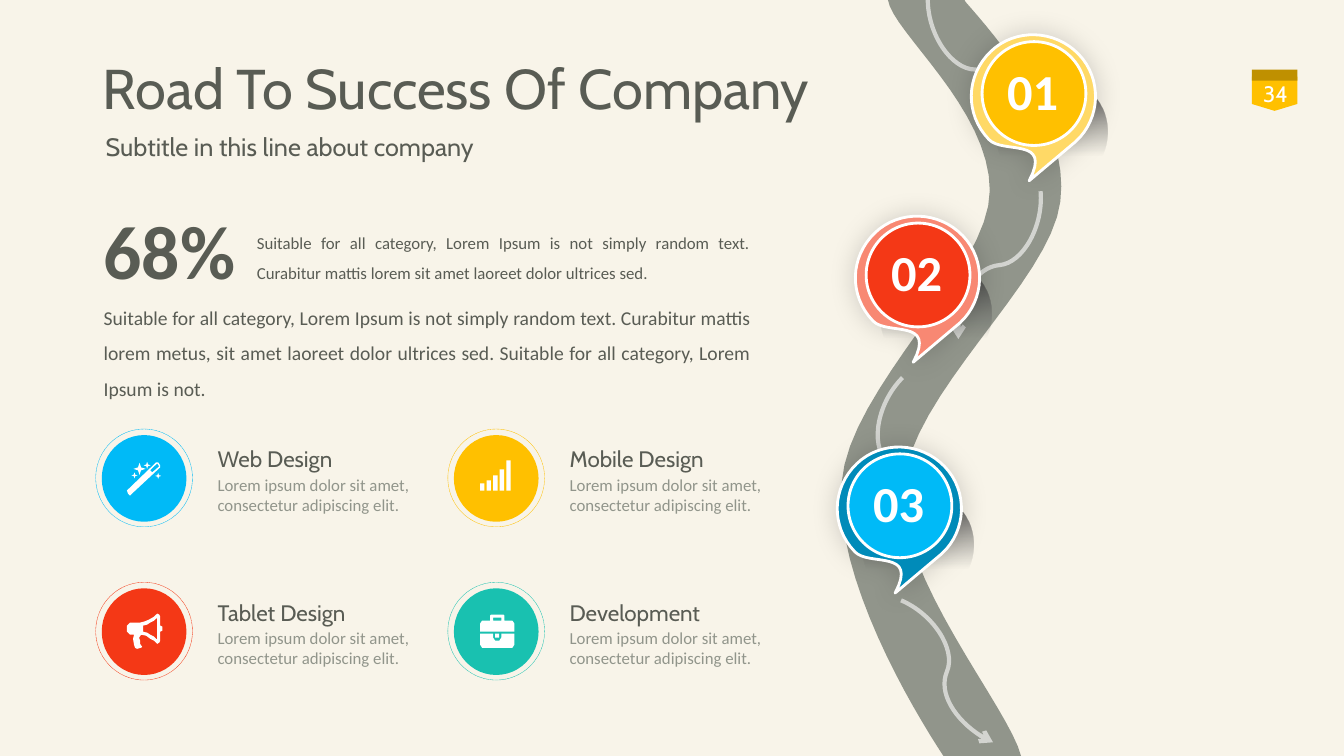
import math
from dataclasses import dataclass

import lxml.etree
import pptx
import pptx.dml.color
import pptx.enum.dml
import pptx.enum.shapes
import pptx.enum.text
import pptx.oxml.ns
import pptx.util

CELL = pptx.util.Inches(1) / 3
COLUMNS, ROWS = 40, 22.5
ICON_UNIT = 0.03
C = {
    "bg": "F8F4E9", "text": "595C54", "grey": "91958B", "white": "FFFFFF",
    "yellow": "FFC000", "gold": "BF9000", "sand": "FFD966",
    "red": "F43816", "coral": "F88873", "blue": "00BAF7", "navy": "008BB9",
    "teal": "19C1B0", "dark": "353535", "shade": "595959", "black": "000000",
}
SHAPE = pptx.enum.shapes.MSO_SHAPE
ALIGN = pptx.enum.text.PP_ALIGN
ANCHOR = pptx.enum.text.MSO_ANCHOR
qn = pptx.oxml.ns.qn
Contour = list[tuple[float, ...]]


@dataclass
class Label:
    text: str
    box: tuple[float, float, float, float]
    size: float
    font: str = "Calibri"
    color: str = "text"
    bold: bool = False
    align: ALIGN = ALIGN.LEFT
    spacing: float = 1.0
    anchor: ANCHOR = ANCHOR.TOP
    grow: bool = True


@dataclass
class Pin:
    number: str
    x: float
    y: float
    color: str
    rim: str


@dataclass
class Lane:
    x: float
    y: float
    rotation: int
    flipped: bool


@dataclass
class Service:
    name: str
    column: int
    row: int
    color: str
    icon: list[Contour]
    icon_x: float
    icon_y: float


def grid(n: float) -> int:
    return round(n * CELL)


def rgb(name: str) -> pptx.dml.color.RGBColor:
    return pptx.dml.color.RGBColor.from_string(C[name])


def style(sp, fill: str = "", line: str = "", width: float = 2) -> None:
    sp.shadow.inherit = False
    if fill:
        sp.fill.solid()
        sp.fill.fore_color.rgb = rgb(fill)
    else:
        sp.fill.background()
    if line:
        sp.line.color.rgb = rgb(line)
        sp.line.width = pptx.util.Pt(width)
    else:
        sp.line.fill.background()


def preset(s, kind: SHAPE, x: float, y: float, w: float, h: float, fill: str = "", line: str = "", width: float = 2):
    sp = s.shapes.add_shape(kind, grid(x), grid(y), grid(w), grid(h))
    style(sp, fill, line, width)
    return sp


def flatten(contour: Contour, steps: int = 16) -> list[tuple[float, float]]:
    points = [contour[0]]
    for part in contour[1:]:
        if len(part) == 2:
            points.append(part)
            continue
        (x0, y0), (x1, y1, x2, y2, x3, y3) = points[-1], part
        for i in range(1, steps + 1):
            t = i / steps
            a, b, c, d = (1 - t) ** 3, 3 * t * (1 - t) ** 2, 3 * t * t * (1 - t), t ** 3
            points.append((a * x0 + b * x1 + c * x2 + d * x3, a * y0 + b * y1 + c * y2 + d * y3))
    return points


def outline(s, contours: list[Contour], x: float = 0, y: float = 0, unit: float = 1):
    builder = None
    for contour in contours:
        points = [(grid(x + px * unit), grid(y + py * unit)) for px, py in flatten(contour)]
        if builder is None:
            builder = s.shapes.build_freeform(*points[0], scale=1.0)
        else:
            builder.move_to(*points[0])
        builder.add_line_segments(points[1:], close=True)
    return builder.convert_to_shape()


def write(sp, label: Label) -> None:
    sp.left, sp.top, sp.width, sp.height = (grid(n) for n in label.box)
    tf = sp.text_frame
    tf.word_wrap = True
    sizes = pptx.enum.text.MSO_AUTO_SIZE
    tf.auto_size = sizes.SHAPE_TO_FIT_TEXT if label.grow else sizes.NONE
    tf.vertical_anchor = label.anchor
    p = tf.paragraphs[0]
    p.alignment = label.align
    p.line_spacing = label.spacing
    r = p.add_run()
    r.text = label.text
    r.font.name = label.font
    r.font.size = pptx.util.Pt(label.size)
    r.font.bold = label.bold
    r.font.color.rgb = rgb(label.color)


def add_label(s, label: Label) -> None:
    write(s.shapes.add_textbox(0, 0, 0, 0), label)


def set_alpha(color, percent: int) -> None:
    lxml.etree.SubElement(color, qn("a:alpha"), val=str(percent * 1000))


def add_lane(s, lane: Lane) -> None:
    x1, x2 = lane.x, lane.x + 4.17
    if lane.flipped:
        x1, x2 = x2, x1
    kind = pptx.enum.shapes.MSO_CONNECTOR.CURVE
    sp = s.shapes.add_connector(kind, grid(x1), grid(lane.y), grid(x2), grid(lane.y + 2.82))
    sp.line.color.rgb = rgb("white")
    sp.line.width = pptx.util.Pt(3)
    spPr = sp._element.spPr
    spPr.find(qn("a:xfrm")).set("rot", str(lane.rotation * 60000))
    ln = spPr.find(qn("a:ln"))
    set_alpha(next(ln.iter(qn("a:srgbClr"))), 60)
    lxml.etree.SubElement(ln, qn("a:tailEnd"), type="arrow")
    lxml.etree.SubElement(spPr, qn("a:effectLst"))


def add_pin(s, pin: Pin) -> None:
    sp = outline(s, [CAST], pin.x, pin.y)
    style(sp)
    sp.fill.gradient()
    sp.fill.gradient_angle = 270
    for stop, color, position in zip(sp.fill.gradient_stops, ("dark", "shade"), (0, 0.6)):
        stop.color.rgb = rgb(color)
        stop.position = position
    set_alpha(list(sp._element.spPr.iter(qn("a:srgbClr")))[1], 0)
    sp = outline(s, [BUBBLE], pin.x, pin.y)
    style(sp, pin.rim, "white")
    effects = sp._element.spPr.find(qn("a:effectLst"))
    glow = lxml.etree.SubElement(effects, qn("a:outerShdw"), blurRad=str(pptx.util.Pt(19)), dist="0", dir="0", algn="ctr")
    set_alpha(lxml.etree.SubElement(glow, qn("a:srgbClr"), val=C["black"]), 17)
    preset(s, SHAPE.OVAL, pin.x - 1.54, pin.y - 1.54, 3.09, 3.09, pin.color, "white")
    add_label(s, Label(pin.number, (pin.x - 1.13, pin.y - 0.8, 2.19, 1.8), 36, color="white", bold=True,
                       align=ALIGN.CENTER, spacing=0.8))


def add_service(s, service: Service) -> None:
    x, y = 2.85 + 10.48 * service.column, 12.77 + 4.56 * service.row
    add_label(s, Label(service.name, (x + 3.33, y + 0.34, 5.37, 1.11), 16, "Cabin"))
    add_label(s, Label("Lorem ipsum dolor sit amet, consectetur adipiscing elit.", (x + 3.33, y + 1.21, 7.32, 1.5), 12,
                       color="grey"))
    preset(s, SHAPE.OVAL, x + 0.18, y + 0.18, 2.52, 2.58, service.color)
    ring = preset(s, SHAPE.OVAL, x, y, 2.88, 2.91, "", service.color, 0.25)
    ring.line.dash_style = pptx.enum.dml.MSO_LINE.SQUARE_DOT
    style(outline(s, service.icon, x + service.icon_x * ICON_UNIT, y + service.icon_y * ICON_UNIT, ICON_UNIT), "white")


def star(x: float, y: float, radius: float) -> Contour:
    radii = [radius, radius * 0.35] * 4
    return [(x + r * math.cos(i * math.pi / 4), y + r * math.sin(i * math.pi / 4)) for i, r in enumerate(radii)]


ROAD = [(26.43, 0), (28.71, 0), (28.74, 0.06), (29.61, 1.05, 31.86, 3.6, 31.56, 6), (31.26, 8.4, 27.06, 11.73, 26.88, 14.52),
        (26.7, 17.19, 30.03, 21.06, 30.39, ROWS), (28.08, ROWS), (27.15, 21.09, 24.81, 17.16, 25.05, 14.37),
        (25.26, 11.55, 29.46, 8.07, 29.46, 5.67), (29.46, 3.24, 26.55, 0.93, 26.43, 0)]
BUBBLE = [(1.34, -1.16), (2.03, -0.44, 2, 0.74, 1.25, 1.43), (-0.14, 2.6), (0.56, 1.28, -0.92, 1.82, -1.34, 1.37),
          (-2.06, 0.62, -2.03, -0.53, -1.28, -1.25), (-0.56, -1.94, 0.62, -1.91, 1.34, -1.16)]
CAST = [(1.76, 0.05), (2.39, 0.71, 2.33, 1.76, 1.67, 2.39), (0.41, 3.44), (1.04, 2.27, -0.29, 2.75, -0.68, 2.36),
        (-1.28, 1.7, -1.25, 0.65, -0.56, 0.02), (0.11, -0.62, 1.16, -0.62, 1.76, 0.05)]
WAND = [[(29, 1), (31, 1), (33, 4), (33, 6), (4, 33), (3, 34), (1, 32), (0, 29), (1, 28)],
        [(32, 5), (30, 2), (23, 9), (25, 11)], star(7.5, 14, 3), star(12.5, 7.5, 6), star(20, 4, 3.5), star(31, 14.5, 3)]
BARS = [[(6.5 * i, top), (6.5 * i + 4.3, top), (6.5 * i + 4.3, 30), (6.5 * i, 30)] for i, top in enumerate((23, 20, 15, 9, 0))]
MEGAPHONE = [[(35, 15), (35, 17), (33, 18), (33, 27), (32, 29), (30, 30), (27, 27), (23, 25), (19, 22), (14, 21), (12, 24),
              (13, 27), (13, 30), (15, 33), (14, 34), (10, 35), (8, 34), (7, 31), (6, 25), (7, 21), (3, 21), (0, 18), (0, 12),
              (3, 9), (13, 9), (17, 8), (22, 6), (27, 3), (30, 0), (32, 1), (33, 3), (33, 12), (35, 13)],
             [(30, 4), (27, 7), (23, 9), (20, 11), (16, 12), (16, 18), (20, 19), (23, 21), (27, 23), (30, 26)]]
BRIEFCASE = [[(0, 17), (0, 9), (2, 6), (10, 6), (10, 1), (11, 0), (23, 0), (24, 1), (24, 6), (32, 6), (34, 9), (34, 17)],
             [(13, 6), (21, 6), (21, 3), (13, 3)], [(15, 19), (19, 19), (19, 23), (15, 23)],
             [(34, 19), (34, 30), (32, 33), (2, 33), (0, 30), (0, 19), (13, 19), (13, 23), (15, 26), (19, 26), (21, 23), (21, 19)]]
LANES = [Lane(26.94, 0.66, 270, True), Lane(27.66, 6.48, 85, False), Lane(24.3, 12.3, 315, True), Lane(26.1, 18.57, 23, False)]
PINS = [Pin("01", 30.77, 2.78, "yellow", "sand"), Pin("02", 27.32, 8.18, "red", "coral"), Pin("03", 26.78, 15.05, "blue", "navy")]
SERVICES = [Service("Web Design", 0, 0, "blue", WAND, 31, 32), Service("Tablet Design", 0, 1, "red", MEGAPHONE, 31, 31),
            Service("Mobile Design", 1, 0, "yellow", BARS, 32, 31), Service("Development", 1, 1, "teal", BRIEFCASE, 32, 32)]
INTRO = "Suitable for all category, Lorem Ipsum is not simply random text. Curabitur mattis lorem "
LABELS = [
    Label("34", (36.63, 2.19, 2.67, 1.2), 16, "Cabin", "white", align=ALIGN.CENTER, anchor=ANCHOR.MIDDLE, grow=False),
    Label("Subtitle in this line about company", (2.85, 3.75, 17.34, 1.2), 18, "Cabin"),
    Label(INTRO + "metus, sit amet laoreet dolor ultrices sed. Suitable for all category, Lorem Ipsum is not.",
          (2.79, 8.61, 19.86, 3.48), 14, align=ALIGN.JUSTIFY, spacing=1.5),
    Label(INTRO + "sit amet laoreet dolor ultrices sed.", (7.35, 6.48, 15.27, 2.13), 12, align=ALIGN.JUSTIFY, spacing=1.5),
    Label("68%", (2.79, 5.91, 5.85, 3.03), 54, bold=True),
]
TITLE = Label("Road To Success Of Company", (2.76, 1.35, 34.5, 2.73), 40, "Cabin", spacing=0.9, anchor=ANCHOR.MIDDLE, grow=False)


def main() -> None:
    prs = pptx.Presentation()
    prs.slide_width, prs.slide_height = grid(COLUMNS), grid(ROWS)
    s = prs.slides.add_slide(prs.slide_layouts[5])
    s.background.fill.solid()
    s.background.fill.fore_color.rgb = rgb("bg")
    write(s.shapes.title, TITLE)
    preset(s, SHAPE.FLOWCHART_OFFPAGE_CONNECTOR, 37.26, 2.28, 1.35, 1.02, "yellow")
    preset(s, SHAPE.RECTANGLE, 37.26, 2.07, 1.35, 0.33, "gold")
    style(outline(s, [ROAD]), "grey")
    for draw, items in ((add_lane, LANES), (add_pin, PINS), (add_label, LABELS), (add_service, SERVICES)):
        for item in items:
            draw(s, item)
    prs.save("out.pptx")


if __name__ == "__main__":
    main()
